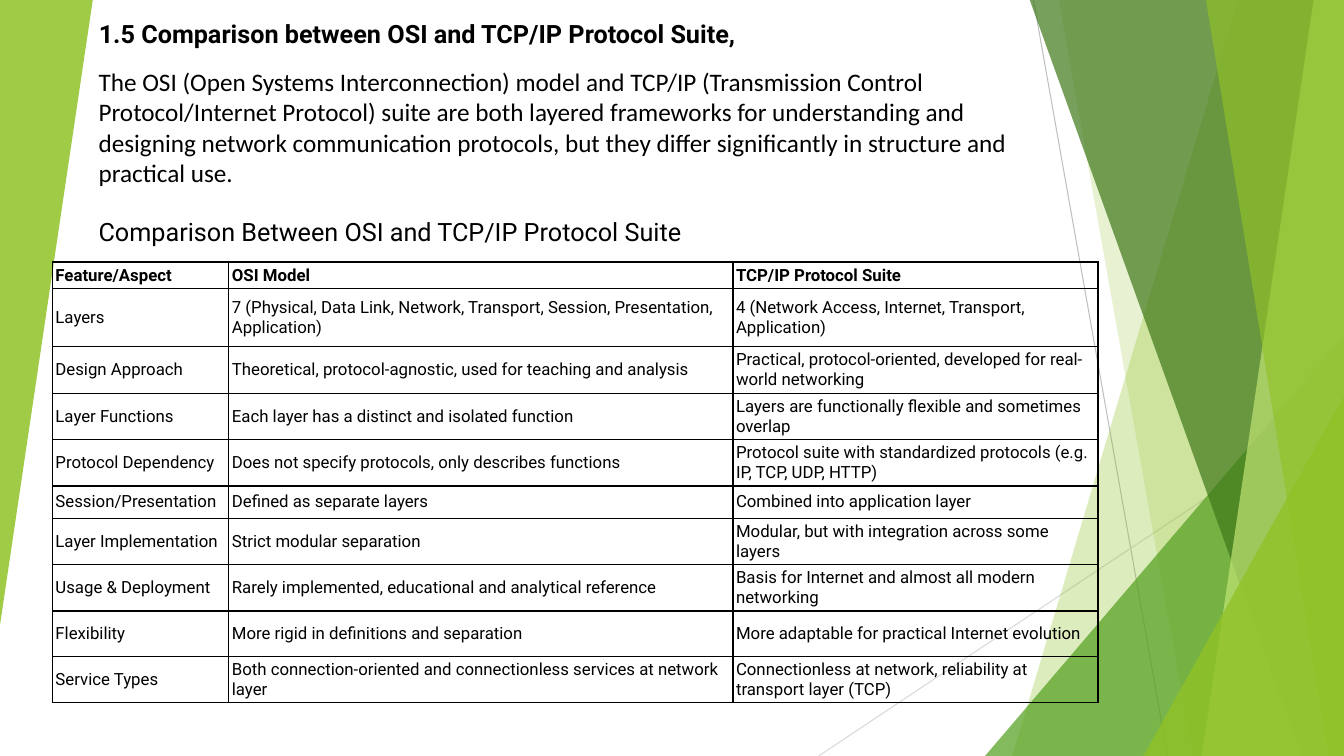
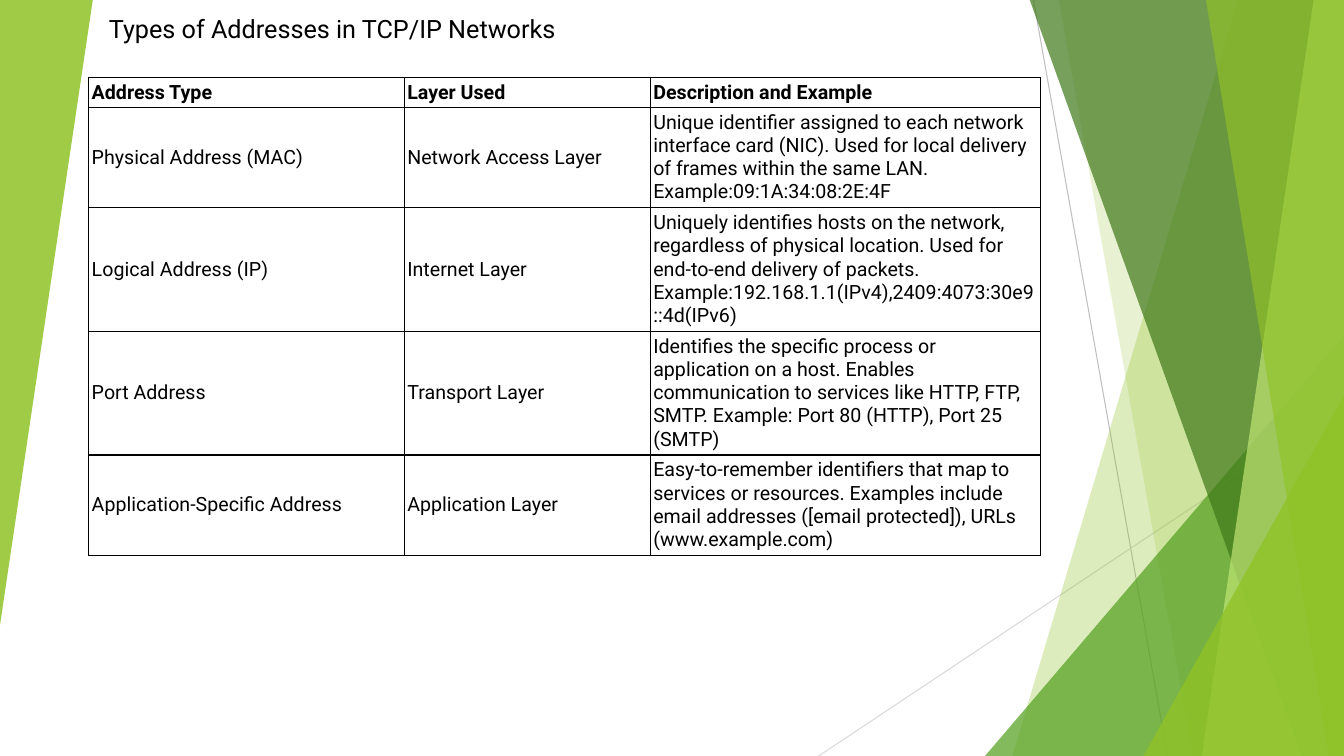
from lxml.etree import SubElement
from pptx import Presentation
from pptx.dml.color import RGBColor
from pptx.enum.shapes import MSO_CONNECTOR, MSO_SHAPE
from pptx.enum.text import MSO_ANCHOR, MSO_AUTO_SIZE, PP_ALIGN
from pptx.oxml.ns import qn
from pptx.util import Inches, Pt

# Shared style
WIDE, HIGH, TOP = 13.33, 7.5, -0.01
HUES = {
    "text": "000000", "lime": "90C226", "green": "54A021",
    "dark": "3F7819", "pale": "C0E474", "gray": "BFBFBF", "light": "D9D9D9",
}

# Backdrop: thin lines, then bands and triangles from back to front
LINES = [((10.25, 0), (11.58, HIGH), "gray"), ((WIDE, 4.03), (8.12, HIGH), "light")]
# A band runs from its upper-left and lower-left x to the right slide edge
BANDS = [
    ("band", (12.28, 10.04), "lime", 30),
    ("band", (10.5, 11.83), "lime", 20),
    ("tri", (9.77, 3.33, 3.56, 4.17, 0), "green", 72),
    ("band", (10.21, 12.91), "dark", 70),
    ("band", (13.03, 11.92), "pale", 70),
    ("band", (11.96, 13.18), "lime", 65),
    ("tri", (11.34, 3.93, 1.99, 3.57, 0), "lime", 80),
    ("tri", (0, 0, 0.92, 6.2, 180), "lime", 85),
]

# Slide content
INTRO = (
    "The OSI (Open Systems Interconnection) model and TCP/IP (Transmission Control "
    "Protocol/Internet Protocol) suite are both layered frameworks for understanding "
    "and designing network communication protocols, but they differ significantly in "
    "structure and practical use."
)
MODELS = [
    ("Feature/Aspect", "OSI Model", "TCP/IP Protocol Suite"),
    ("Layers",
     "7 (Physical, Data Link, Network, Transport, Session, Presentation, Application)",
     "4 (Network Access, Internet, Transport, Application)"),
    ("Design Approach", "Theoretical, protocol-agnostic, used for teaching and analysis",
     "Practical, protocol-oriented, developed for real-world networking"),
    ("Layer Functions", "Each layer has a distinct and isolated function",
     "Layers are functionally flexible and sometimes overlap"),
    ("Protocol Dependency", "Does not specify protocols, only describes functions",
     "Protocol suite with standardized protocols (e.g. IP, TCP, UDP, HTTP)"),
    ("Session/Presentation", "Defined as separate layers",
     "Combined into application layer"),
    ("Layer Implementation", "Strict modular separation",
     "Modular, but with integration across some layers"),
    ("Usage & Deployment", "Rarely implemented, educational and analytical reference",
     "Basis for Internet and almost all modern networking"),
    ("Flexibility", "More rigid in definitions and separation",
     "More adaptable for practical Internet evolution"),
    ("Service Types",
     "Both connection-oriented and connectionless services at network layer",
     "Connectionless at network, reliability at transport layer (TCP)"),
]
KINDS = [
    ("Address Type", "Layer Used", "Description and Example"),
    ("Physical Address (MAC)", "Network Access Layer",
     "Unique identifier assigned to each network interface card (NIC). Used for local "
     "delivery of frames within the same LAN. Example:09:1A:34:08:2E:4F"),
    ("Logical Address (IP)", "Internet Layer",
     "Uniquely identifies hosts on the network, regardless of physical location. Used "
     "for end-to-end delivery of packets. "
     "Example:192.168.1.1(IPv4),2409:4073:30e9::4d(IPv6)"),
    ("Port Address", "Transport Layer",
     "Identifies the specific process or application on a host. Enables communication "
     "to services like HTTP, FTP, SMTP. Example: Port 80 (HTTP), Port 25 (SMTP)"),
    ("Application-Specific Address", "Application Layer",
     "Easy-to-remember identifiers that map to services or resources. Examples include "
     "email addresses ([email protected]), URLs (www.example.com)"),
]
SLIDES = [
    {
        "title": "1.5 Comparison between OSI and TCP/IP Protocol Suite,",
        "bold": True, "box": (0.88, 0.13, 9.2, 0.4),
        "body": [
            (INTRO, {"font": "Calibri"}),
            ("Comparison Between OSI and TCP/IP Protocol Suite", {"before": 21}),
        ],
        "rows": MODELS, "at": (0.52, 2.6), "size": 12, "wides": (1.75, 5, 3.62),
        "highs": [0.19, 0.58] + [0.45] * 3 + [0.32] + [0.45] * 4,
    },
    {
        "title": "Types of Addresses in TCP/IP Networks",
        "bold": False, "box": (0.98, 0.08, 9.67, 0.4), "body": [],
        "rows": KINDS, "at": (0.88, 0.77), "size": 14, "wides": (3.13, 2.44, 3.87),
        "highs": [0.19, 0.98, 1.11, 0.98, 0.98],
    },
]


def hue(name):
    return RGBColor.from_string(HUES[name])


def write(para, text, size=18, font="Roboto", bold=False, before=0):
    para.alignment = PP_ALIGN.LEFT
    para.space_before = Pt(before)
    run = para.add_run()
    run.text = text
    run.font.size, run.font.name, run.font.bold = Pt(size), font, bold
    run.font.color.rgb = hue("text")


def set_frame(frame):
    frame.word_wrap = True
    frame.vertical_anchor = MSO_ANCHOR.TOP
    frame.auto_size = MSO_AUTO_SIZE.SHAPE_TO_FIT_TEXT


def draw_line(shapes, start, end, color):
    points = [Inches(n) for n in start + end]
    line = shapes.add_connector(MSO_CONNECTOR.STRAIGHT, *points)
    line.line.color.rgb = hue(color)
    line.line.width = Pt(0.75)
    SubElement(line.element.spPr, qn("a:effectLst"))


def draw_band(shapes, kind, place, color, alpha):
    if kind == "band":
        upper, lower = place
        pts = [(upper, TOP), (WIDE, TOP), (WIDE, HIGH), (lower, HIGH)]
        pts = [(Inches(x), Inches(y)) for x, y in pts]
        form = shapes.build_freeform(*pts[0])
        form.add_line_segments(pts[1:], close=True)
        shape = form.convert_to_shape()
    else:
        *box, turn = place
        shape = shapes.add_shape(
            MSO_SHAPE.ISOSCELES_TRIANGLE, *[Inches(n) for n in box])
        shape.adjustments[0] = 1
        shape.rotation = turn
    shape.shadow.inherit = False
    shape.line.fill.background()
    shape.fill.solid()
    shape.fill.fore_color.rgb = hue(color)
    tint = shape.element.spPr.find(qn("a:solidFill"))[0]
    SubElement(tint, qn("a:alpha"), val=str(alpha * 1000))


def add_backdrop(slide, layout):
    """Draw the backdrop as one group and move it to the shared layout."""
    group = slide.shapes.add_group_shape()
    for line in LINES:
        draw_line(group.shapes, *line)
    for band in BANDS:
        draw_band(group.shapes, *band)
    for num, tag in enumerate(group.element.iter(qn("p:cNvPr")), 100):
        tag.set("id", str(num))
    layout.shapes.element.append(group.element)


def add_border(cell):
    props = cell._tc.get_or_add_tcPr()
    for side in ("lnL", "lnR", "lnT", "lnB"):
        edge = SubElement(props, qn(f"a:{side}"), w=str(Pt(1)))
        fill = SubElement(edge, qn("a:solidFill"))
        SubElement(fill, qn("a:srgbClr"), val=HUES["text"])


def add_grid(slide, rows, at, wides, highs, size):
    box = [Inches(n) for n in (*at, sum(wides), sum(highs))]
    grid = slide.shapes.add_table(len(rows), len(wides), *box).table
    grid.first_row = grid.horz_banding = False
    for col, wide in zip(grid.columns, wides):
        col.width = Inches(wide)
    for r, (row, high) in enumerate(zip(rows, highs)):
        grid.rows[r].height = Inches(high)
        for c, text in enumerate(row):
            cell = grid.cell(r, c)
            add_border(cell)
            cell.fill.background()
            cell.vertical_anchor = MSO_ANCHOR.MIDDLE
            cell.margin_left = cell.margin_right = Inches(0.03)
            cell.margin_top = cell.margin_bottom = Inches(0.03)
            write(cell.text_frame.paragraphs[0], text, size=size, bold=r == 0)


def add_body(slide, parts):
    box = [Inches(n) for n in (0.88, 0.61, 9.3, 1.92)]
    frame = slide.shapes.add_textbox(*box).text_frame
    set_frame(frame)
    for i, (text, style) in enumerate(parts):
        para = frame.add_paragraph() if i else frame.paragraphs[0]
        write(para, text, **style)


def main():
    deck = Presentation()
    deck.slide_width, deck.slide_height = Inches(WIDE), Inches(HIGH)
    layout = deck.slide_layouts[5]
    for i, page in enumerate(SLIDES):
        slide = deck.slides.add_slide(layout)
        if i == 0:
            add_backdrop(slide, layout)
        title = slide.shapes.title
        title.left, title.top, title.width, title.height = map(Inches, page["box"])
        set_frame(title.text_frame)
        write(title.text_frame.paragraphs[0], page["title"], bold=page["bold"])
        if page["body"]:
            add_body(slide, page["body"])
        add_grid(slide, page["rows"], page["at"], page["wides"], page["highs"],
                 page["size"])
    deck.save("out.pptx")


if __name__ == "__main__":
    main()
